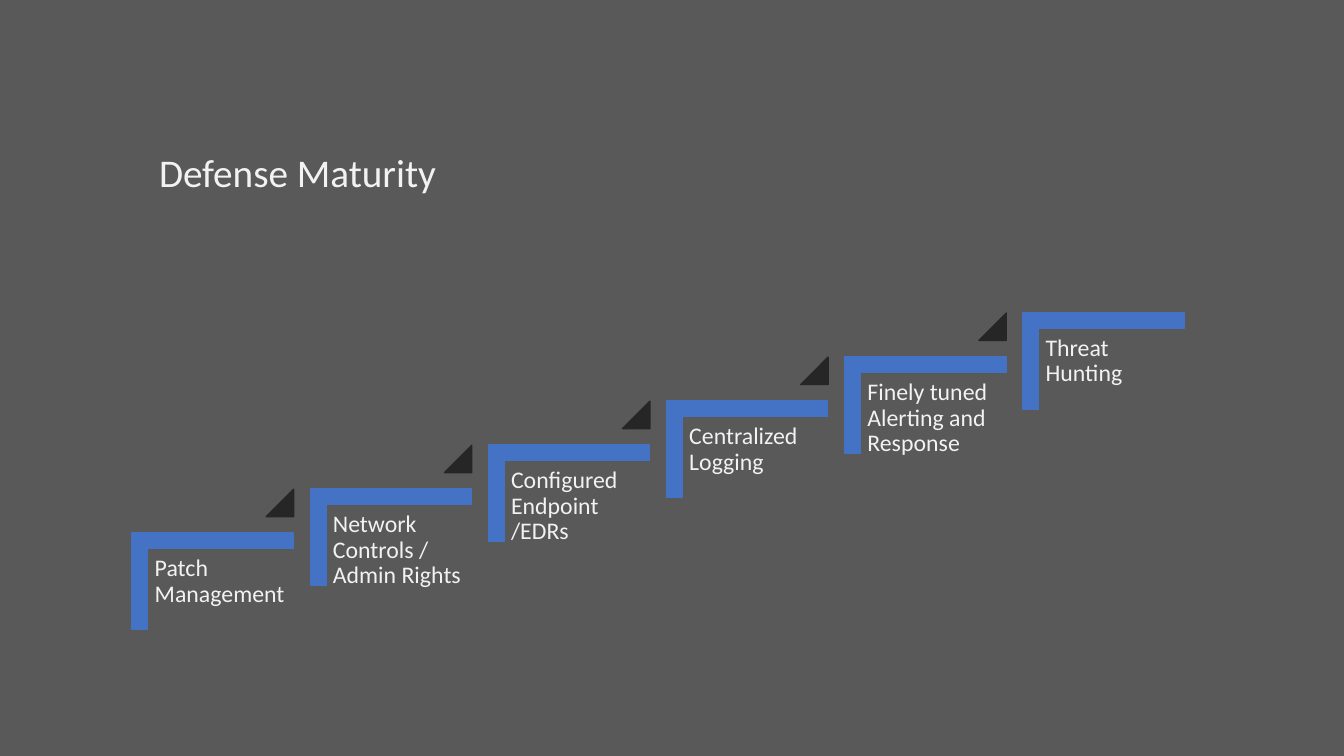
from pptx import Presentation
from pptx.dml.color import RGBColor
from pptx.enum import shapes, text
from pptx.util import Cm, Pt

TITLE = "Defense Maturity"
STEPS = [
    "Patch Management",
    "Network Controls / Admin Rights",
    "Configured Endpoint /EDRs",
    "Centralized Logging",
    "Finely tuned Alerting and Response",
    "Threat Hunting",
]

FONT = "Calibri"
BACKGROUND = RGBColor(0x59, 0x59, 0x59)
BLUE = RGBColor(0x44, 0x72, 0xC4)
DARK = RGBColor(0x26, 0x26, 0x26)
LIGHT = RGBColor(0xF2, 0xF2, 0xF2)

# Centimetres: the first step's corner, and the move from one step to the next
START_LEFT, START_TOP = 4.14, 12.62
STEP_RIGHT, STEP_UP = 4.49, 1.11


def add_text(slide, content, left, top, width, height, *, size, wrap=True,
             inset=None, line_spacing=None, space_after=None):
    box = slide.shapes.add_textbox(Cm(left), Cm(top), Cm(width), Cm(height))
    frame = box.text_frame
    frame.word_wrap = wrap
    if inset is not None:
        frame.margin_left = frame.margin_right = Cm(inset)
        frame.margin_top = frame.margin_bottom = Cm(inset)
    if not wrap:
        frame.auto_size = text.MSO_AUTO_SIZE.SHAPE_TO_FIT_TEXT
    paragraph = frame.paragraphs[0]
    paragraph.line_spacing = line_spacing
    paragraph.space_after = space_after
    run = paragraph.add_run()
    run.text = content
    run.font.name = FONT
    run.font.size = Pt(size)
    run.font.color.rgb = LIGHT


def add_solid(slide, kind, left, top, width, height, *, color, adjustments, rotation=0):
    shape = slide.shapes.add_shape(kind, Cm(left), Cm(top), Cm(width), Cm(height))
    shape.shadow.inherit = False
    shape.rotation = rotation
    for index, value in enumerate(adjustments):
        shape.adjustments[index] = value
    shape.fill.solid()
    shape.fill.fore_color.rgb = color
    shape.line.color.rgb = color
    shape.line.width = Pt(1)


def main():
    presentation = Presentation()
    presentation.slide_width = Cm(33.87)
    presentation.slide_height = Cm(19.05)
    slide = presentation.slides.add_slide(presentation.slide_layouts[6])
    slide.background.fill.solid()
    slide.background.fill.fore_color.rgb = BACKGROUND

    for number, label in enumerate(STEPS):
        left = START_LEFT + number * STEP_RIGHT
        top = START_TOP - number * STEP_UP
        add_solid(slide, shapes.MSO_SHAPE.CORNER, left, top, 2.44, 4.06,
                  color=BLUE, adjustments=(0.161, 0.161), rotation=90)
        add_text(slide, label, left - 0.42, top + 1.21, 3.66, 3.23, size=17,
                 inset=0.18, line_spacing=0.9, space_after=Pt(6))
        if number < len(STEPS) - 1:
            add_solid(slide, shapes.MSO_SHAPE.ISOSCELES_TRIANGLE, left + 2.57, top - 0.29,
                      0.69, 0.69, color=DARK, adjustments=(1,))

    add_text(slide, TITLE, 3.76, 3.61, 7.57, 1.45, size=28, wrap=False)
    presentation.save("out.pptx")


if __name__ == "__main__":
    main()
